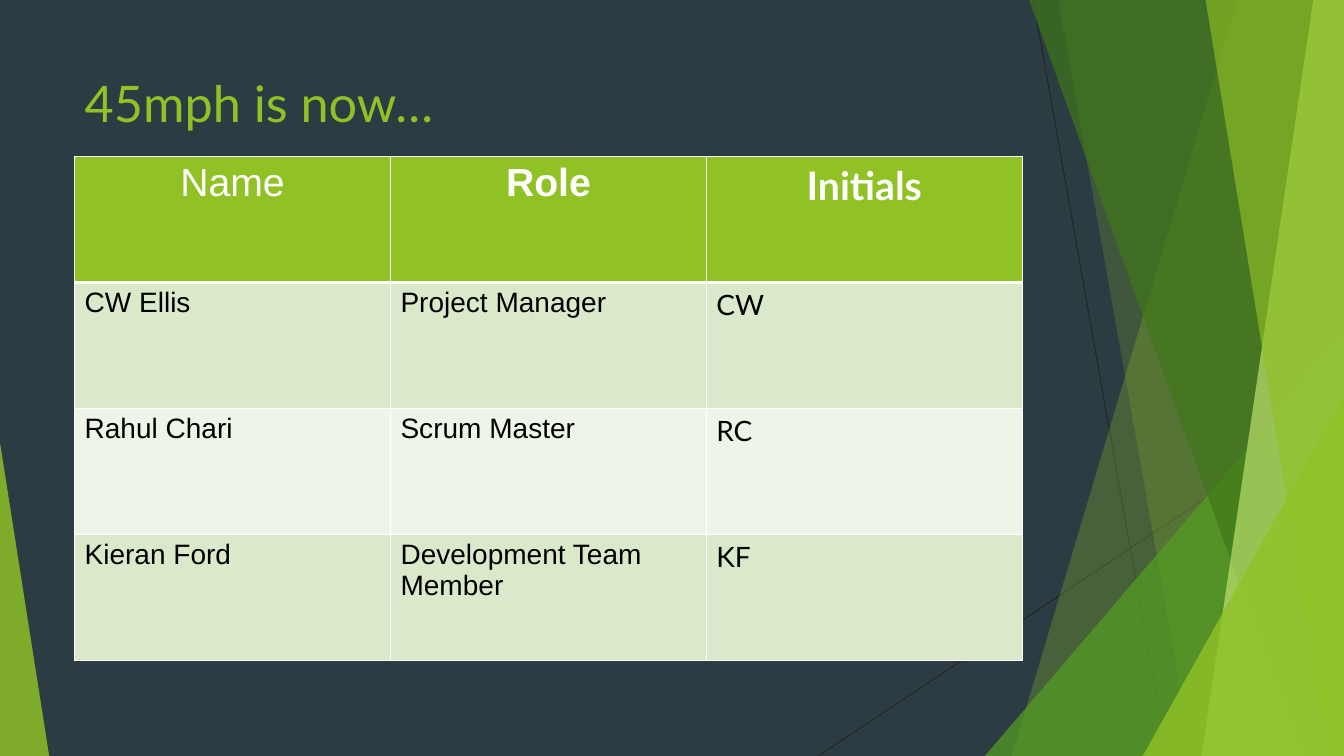
from dataclasses import dataclass

from lxml import etree
from pptx import Presentation
from pptx.dml.color import RGBColor
from pptx.enum.shapes import MSO_CONNECTOR, MSO_SHAPE
from pptx.enum.text import MSO_ANCHOR, PP_ALIGN
from pptx.oxml.ns import qn
from pptx.util import Cm, Pt

STRAIGHT = MSO_CONNECTOR.STRAIGHT
TRIANGLE = MSO_SHAPE.ISOSCELES_TRIANGLE
TOP = MSO_ANCHOR.TOP
LEFT = PP_ALIGN.LEFT
CENTER = PP_ALIGN.CENTER

NIGHT = RGBColor(0x2C, 0x3C, 0x43)
CHARCOAL = RGBColor(0x26, 0x26, 0x26)
LIME = RGBColor(0x90, 0xC2, 0x26)
LEAF = RGBColor(0x54, 0xA0, 0x21)
FOREST = RGBColor(0x3F, 0x78, 0x18)
PALE_LIME = RGBColor(0xBF, 0xE4, 0x71)
BAND_DARK = RGBColor(0xDB, 0xE9, 0xCB)
BAND_LIGHT = RGBColor(0xEE, 0xF4, 0xE7)
WHITE = RGBColor(0xFF, 0xFF, 0xFF)
BLACK = RGBColor(0x00, 0x00, 0x00)

SLIDE_WIDTH = 33.87
SLIDE_HEIGHT = 19.05
BLEED_TOP = -0.02
COLUMN_WIDTH = 7.96
ROW_HEIGHT = 3.175
COLUMN_FONTS = ("Arial", "Arial", "Lato")
TEAM = (
    ("Name", "Role", "Initials"),
    ("CW Ellis", "Project Manager", "CW"),
    ("Rahul Chari", "Scrum Master", "RC"),
    ("Kieran Ford", "Development Team Member", "KF"),
)


@dataclass(frozen=True)
class Ray:
    start_x: float
    start_y: float
    end_x: float
    end_y: float


@dataclass(frozen=True)
class Panel:
    top_x: float
    bottom_x: float
    color: RGBColor
    opacity: int


@dataclass(frozen=True)
class Wedge:
    left: float
    top: float
    width: float
    apex: float
    color: RGBColor
    opacity: int


RAYS = (
    Ray(26.04, 0, 29.41, SLIDE_HEIGHT),
    Ray(SLIDE_WIDTH, 10.24, 20.62, SLIDE_HEIGHT),
)
FACETS = (
    Panel(31.19, 25.5, LIME, 28),
    Panel(26.67, 30.05, LIME, 20),
    Wedge(24.82, 8.46, 9.05, 1, LEAF, 70),
    Panel(25.93, 32.79, FOREST, 68),
    Panel(33.1, 30.28, PALE_LIME, 68),
    Panel(30.38, 33.48, LIME, 63),
    Wedge(28.8, 9.98, 5.07, 1, LIME, 80),
    Wedge(0, 11.15, 1.24, 0, LIME, 83),
)


def write_text(text_frame, text: str, *, font: str, size: float, color: RGBColor,
               bold: bool = False, align=LEFT) -> None:
    paragraph = text_frame.paragraphs[0]
    paragraph.alignment = align
    run = paragraph.add_run()
    run.text = text
    run.font.name = font
    run.font.size = Pt(size)
    run.font.bold = bold
    run.font.color.rgb = color


def add_ray(slide, ray: Ray) -> None:
    connector = slide.shapes.add_connector(
        STRAIGHT, Cm(ray.start_x), Cm(ray.start_y), Cm(ray.end_x), Cm(ray.end_y))
    connector.line.color.rgb = CHARCOAL
    connector.line.width = Pt(0.75)
    etree.SubElement(connector.element.spPr, qn("a:effectLst"))


def add_facet(slide, facet: Panel | Wedge) -> None:
    if isinstance(facet, Panel):
        builder = slide.shapes.build_freeform(Cm(facet.top_x), Cm(BLEED_TOP))
        builder.add_line_segments([
            (Cm(SLIDE_WIDTH), Cm(BLEED_TOP)),
            (Cm(SLIDE_WIDTH), Cm(SLIDE_HEIGHT)),
            (Cm(facet.bottom_x), Cm(SLIDE_HEIGHT)),
        ])
        shape = builder.convert_to_shape()
    else:
        shape = slide.shapes.add_shape(
            TRIANGLE, Cm(facet.left), Cm(facet.top),
            Cm(facet.width), Cm(SLIDE_HEIGHT - facet.top))
        shape.adjustments[0] = facet.apex
    shape.shadow.inherit = False
    shape.line.fill.background()
    shape.fill.solid()
    shape.fill.fore_color.rgb = facet.color
    color_element = shape.element.spPr.find(qn("a:solidFill"))[0]
    etree.SubElement(color_element, qn("a:alpha"), val=str(facet.opacity * 1000))


def add_cell_borders(cell, widths: dict[str, float]) -> None:
    properties = cell._tc.get_or_add_tcPr()
    for side, width in widths.items():
        line = etree.SubElement(properties, qn(f"a:ln{side}"), w=str(Pt(width)))
        fill = etree.SubElement(line, qn("a:solidFill"))
        etree.SubElement(fill, qn("a:srgbClr"), val=str(WHITE))


def add_team_table(slide) -> None:
    rows, columns = len(TEAM), len(COLUMN_FONTS)
    table = slide.shapes.add_table(
        rows, columns, Cm(1.88), Cm(3.94),
        Cm(COLUMN_WIDTH * columns), Cm(ROW_HEIGHT * rows)).table
    for column in table.columns:
        column.width = Cm(COLUMN_WIDTH)
    for row_index, entries in enumerate(TEAM):
        table.rows[row_index].height = Cm(ROW_HEIGHT)
        header = row_index == 0
        band = BAND_DARK if row_index % 2 else BAND_LIGHT
        for column_index, text in enumerate(entries):
            cell = table.cell(row_index, column_index)
            add_cell_borders(cell, {
                "L": 1, "R": 1,
                "T": 3 if row_index == 1 else 1,
                "B": 3 if header else 1,
            })
            cell.fill.solid()
            cell.fill.fore_color.rgb = LIME if header else band
            write_text(cell.text_frame, text,
                       font=COLUMN_FONTS[column_index],
                       size=28 if header else 20,
                       color=WHITE if header else BLACK,
                       bold=header and column_index > 0,
                       align=CENTER if header else LEFT)


def add_title(slide, text: str) -> None:
    title = slide.shapes.title
    title.left, title.top = Cm(1.88), Cm(1.7)
    title.width, title.height = Cm(23.88), Cm(2.74)
    title.text_frame.vertical_anchor = TOP
    write_text(title.text_frame, text, font="Lato", size=36, color=LIME)


def main() -> None:
    presentation = Presentation()
    presentation.slide_width = Cm(SLIDE_WIDTH)
    presentation.slide_height = Cm(SLIDE_HEIGHT)
    slide = presentation.slides.add_slide(presentation.slide_layouts[5])
    slide.background.fill.solid()
    slide.background.fill.fore_color.rgb = NIGHT
    for ray in RAYS:
        add_ray(slide, ray)
    for facet in FACETS:
        add_facet(slide, facet)
    add_title(slide, "45mph is now…")
    add_team_table(slide)
    presentation.save("out.pptx")


if __name__ == "__main__":
    main()
